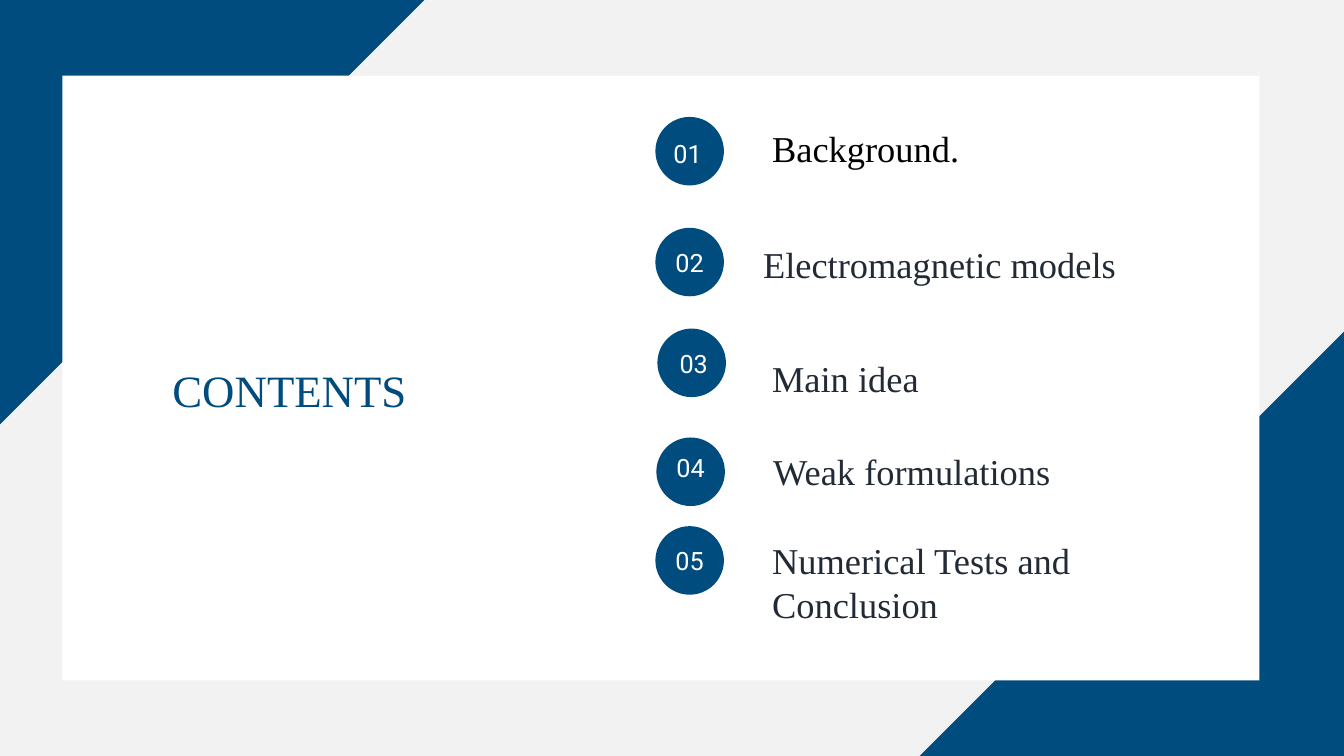
from dataclasses import dataclass

from pptx import Presentation
from pptx.dml.color import RGBColor
from pptx.enum import shapes, text
from pptx.util import Inches, Pt


@dataclass(frozen=True)
class Theme:
    blue: str = "004C7E"
    grey: str = "F2F2F2"
    white: str = "FFFFFF"
    black: str = "000000"
    ink: str = "222A35"
    serif: str = "Times New Roman"
    sans: str = "Roboto"
    head: int = 32
    item: int = 26
    badge: int = 18


THEME = Theme()
SHAPE = shapes.MSO_SHAPE
ALIGN = text.PP_ALIGN
WIDE, HIGH = 13.33, 7.5
DISC = 0.68

ROWS = [
    ("01", "Background.", THEME.black, (6.5, 1.16), (-0.02, 0.16), (1.06, 0.04, 4.9, 0.54)),
    ("02", "Electromagnetic models", THEME.ink, (6.5, 2.26), (0, 0.14), (0.97, 0.09, 4.43, 0.54)),
    ("03", "Main idea", THEME.ink, (6.52, 3.26), (0.02, 0.15), (1.04, 0.22, 3.13, 0.54)),
    ("04", "Weak formulations", THEME.ink, (6.51, 4.34), (0, 0.1), (1.06, 0.07, 3.13, 0.54)),
    ("05", "Numerical Tests and Conclusion", THEME.ink, (6.5, 5.22), (0, 0.14), (1.06, 0.07, 3.42, 0.98)),
]


def inches(box):
    return [Inches(side) for side in box]


def add_solid(slide, kind, box, color, turn=0):
    solid = slide.shapes.add_shape(kind, *inches(box))
    solid.shadow.inherit = False
    solid.fill.solid()
    solid.fill.fore_color.rgb = RGBColor.from_string(color)
    solid.line.fill.background()
    solid.rotation = turn


def write(holder, words, size, face, color, align):
    frame = holder.text_frame
    frame.word_wrap = True
    frame.auto_size = text.MSO_AUTO_SIZE.NONE
    frame.vertical_anchor = text.MSO_ANCHOR.TOP
    frame.text = words
    line = frame.paragraphs[0]
    line.alignment = align
    line.font.size = Pt(size)
    line.font.name = face
    line.font.color.rgb = RGBColor.from_string(color)


def add_frame(slide, box):
    left, top, wide, high = box
    side = 4.21
    add_solid(slide, SHAPE.RIGHT_TRIANGLE, (left, top, side, side), THEME.blue, 90)
    corner = (left + wide - side, top + high - side, side, side)
    add_solid(slide, SHAPE.RIGHT_TRIANGLE, corner, THEME.blue, 270)
    panel = (left + 0.62, top + 0.75, 11.87, high - 1.5)
    add_solid(slide, SHAPE.RECTANGLE, panel, THEME.white)


def add_title(slide, box):
    title = slide.shapes.title
    title.left, title.top, title.width, title.height = inches(box)
    write(title, "CONTENTS", THEME.head, THEME.serif, THEME.blue, ALIGN.JUSTIFY)


def add_row(slide, box, code, words, color, shift, place):
    left, top, wide, high = box
    add_solid(slide, SHAPE.OVAL, box, THEME.blue)
    label = slide.shapes.add_textbox(
        *inches((left + shift[0], top + shift[1], wide, 0.4)))
    write(label, code, THEME.badge, THEME.sans, THEME.white, ALIGN.CENTER)
    item = slide.shapes.add_textbox(
        *inches((left + place[0], top + place[1], place[2], place[3])))
    write(item, words, THEME.item, THEME.serif, color, ALIGN.LEFT)


def main():
    deck = Presentation()
    deck.slide_width, deck.slide_height = Inches(WIDE), Inches(HIGH)
    slide = deck.slides.add_slide(deck.slide_layouts[5])
    fill = slide.background.fill
    fill.solid()
    fill.fore_color.rgb = RGBColor.from_string(THEME.grey)
    add_frame(slide, (0, 0, WIDE, HIGH))
    add_title(slide, (1.61, 3.55, 2.94, 0.64))
    for code, words, color, spot, shift, place in ROWS:
        add_row(slide, (*spot, DISC, DISC), code, words, color, shift, place)
    tree = slide.shapes.title.element.getparent()
    tree.append(slide.shapes.title.element)
    deck.save("out.pptx")


if __name__ == "__main__":
    main()
